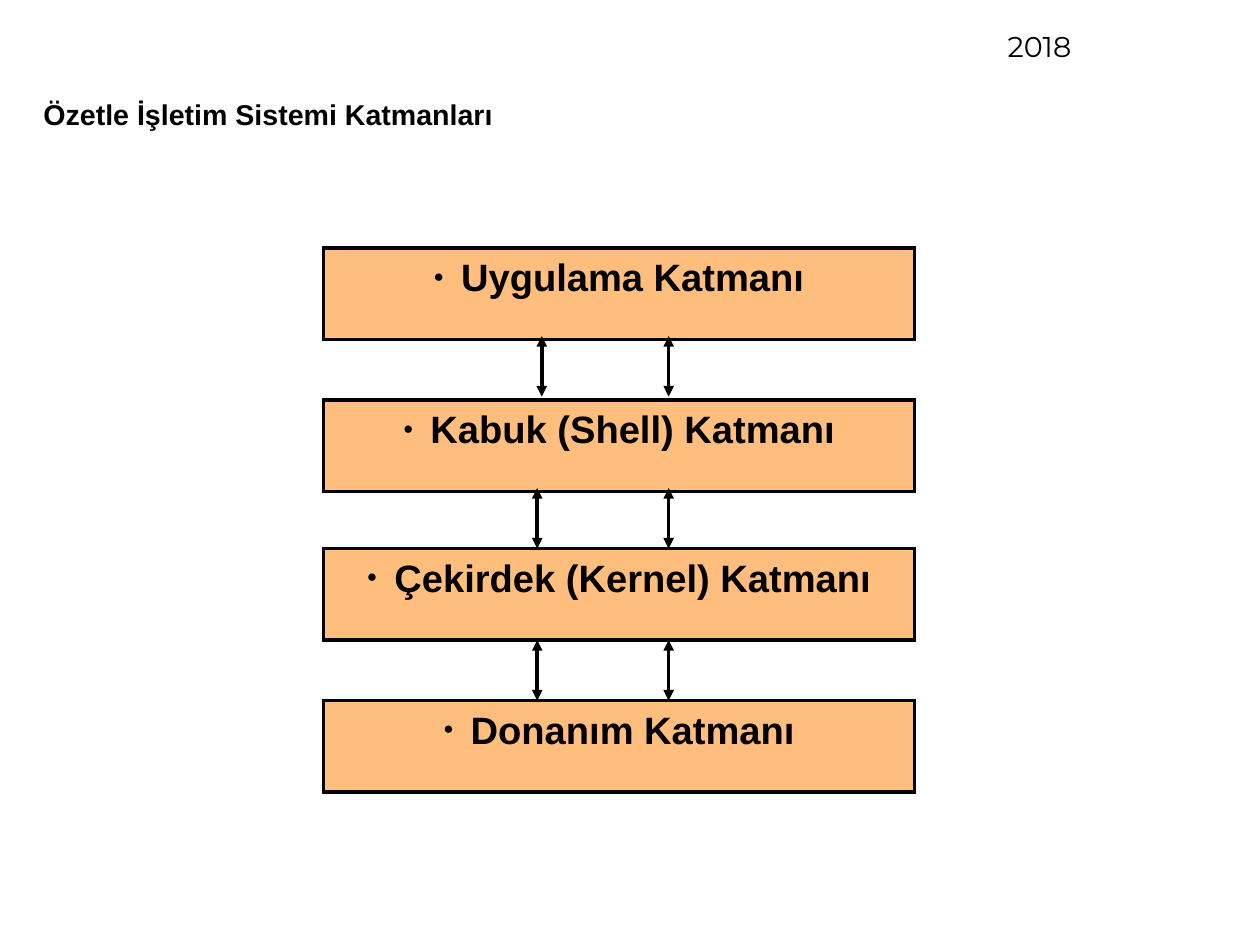
from lxml import etree
from pptx import Presentation
from pptx.dml.color import RGBColor
from pptx.enum.shapes import MSO_CONNECTOR, MSO_SHAPE
from pptx.enum.text import MSO_ANCHOR, MSO_AUTO_SIZE, PP_ALIGN
from pptx.oxml.ns import qn
from pptx.util import Inches, Pt

BLACK = RGBColor(0x00, 0x00, 0x00)
ORANGE = RGBColor(0xFF, 0xBE, 0x7D)
LINE_WIDTH = Pt(2.25)


def write_text(box, text, font_name, size, bold, alignment):
    frame = box.text_frame
    frame.text = text
    frame.word_wrap = True
    frame.auto_size = MSO_AUTO_SIZE.NONE
    frame.vertical_anchor = MSO_ANCHOR.TOP
    para = frame.paragraphs[0]
    para.alignment = alignment
    font = para.runs[0].font
    font.name, font.size, font.bold = font_name, Pt(size), bold
    font.color.rgb = BLACK
    return para


def add_bullet(para):
    properties = para._p.get_or_add_pPr()
    properties.set("marL", str(Inches(0.24)))
    properties.set("indent", str(Inches(-0.24)))
    color = etree.SubElement(properties, qn("a:buClr"))
    etree.SubElement(color, qn("a:srgbClr"), val=str(BLACK))
    etree.SubElement(properties, qn("a:buSzPct"), val="45000")
    etree.SubElement(properties, qn("a:buFont"), typeface="Arial")
    etree.SubElement(properties, qn("a:buChar"), char="●")


# Page of 28 by 21 centimetres
deck = Presentation()
deck.slide_width, deck.slide_height = Inches(28 / 2.54), Inches(21 / 2.54)
page = deck.slides.add_slide(deck.slide_layouts[5])

# Title
title = page.shapes.title
title.left, title.top = Inches(0.28), Inches(0.8)
title.width, title.height = Inches(7.28), Inches(0.66)
write_text(title, "Özetle İşletim Sistemi Katmanları", "Arial", 18, True, PP_ALIGN.LEFT)

# Year
year = page.shapes.add_textbox(Inches(8.66), Inches(0.2), Inches(0.87), Inches(0.45))
write_text(year, "2018", "Montserrat", 18, False, PP_ALIGN.CENTER)

# Operating system layers
layers = [
    ("Uygulama Katmanı", 2.17),
    ("Kabuk (Shell) Katmanı", 3.5),
    ("Çekirdek (Kernel) Katmanı", 4.8),
    ("Donanım Katmanı", 6.13),
]
for name, top in layers:
    layer = page.shapes.add_shape(
        MSO_SHAPE.RECTANGLE, Inches(2.83), Inches(top), Inches(5.17), Inches(0.8))
    layer.shadow.inherit = False
    layer.fill.solid()
    layer.fill.fore_color.rgb = ORANGE
    layer.line.color.rgb = BLACK
    layer.line.width = LINE_WIDTH
    etree.SubElement(layer.line._get_or_add_ln(), qn("a:miter"), lim="800000")
    add_bullet(write_text(layer, name, "Arial", 24, True, PP_ALIGN.CENTER))

# Two-way arrows between neighbouring layers
for top, left_x in [(2.94, 4.74), (4.27, 4.7), (5.6, 4.7)]:
    for x in (left_x, 5.85):
        arrow = page.shapes.add_connector(
            MSO_CONNECTOR.STRAIGHT, Inches(x), Inches(top), Inches(x), Inches(top + 0.53))
        arrow.line.color.rgb = BLACK
        arrow.line.width = LINE_WIDTH
        outline = arrow.line._get_or_add_ln()
        for end in ("a:headEnd", "a:tailEnd"):
            etree.SubElement(outline, qn(end), type="triangle")
        etree.SubElement(arrow._element.spPr, qn("a:effectLst"))

deck.save("out.pptx")
